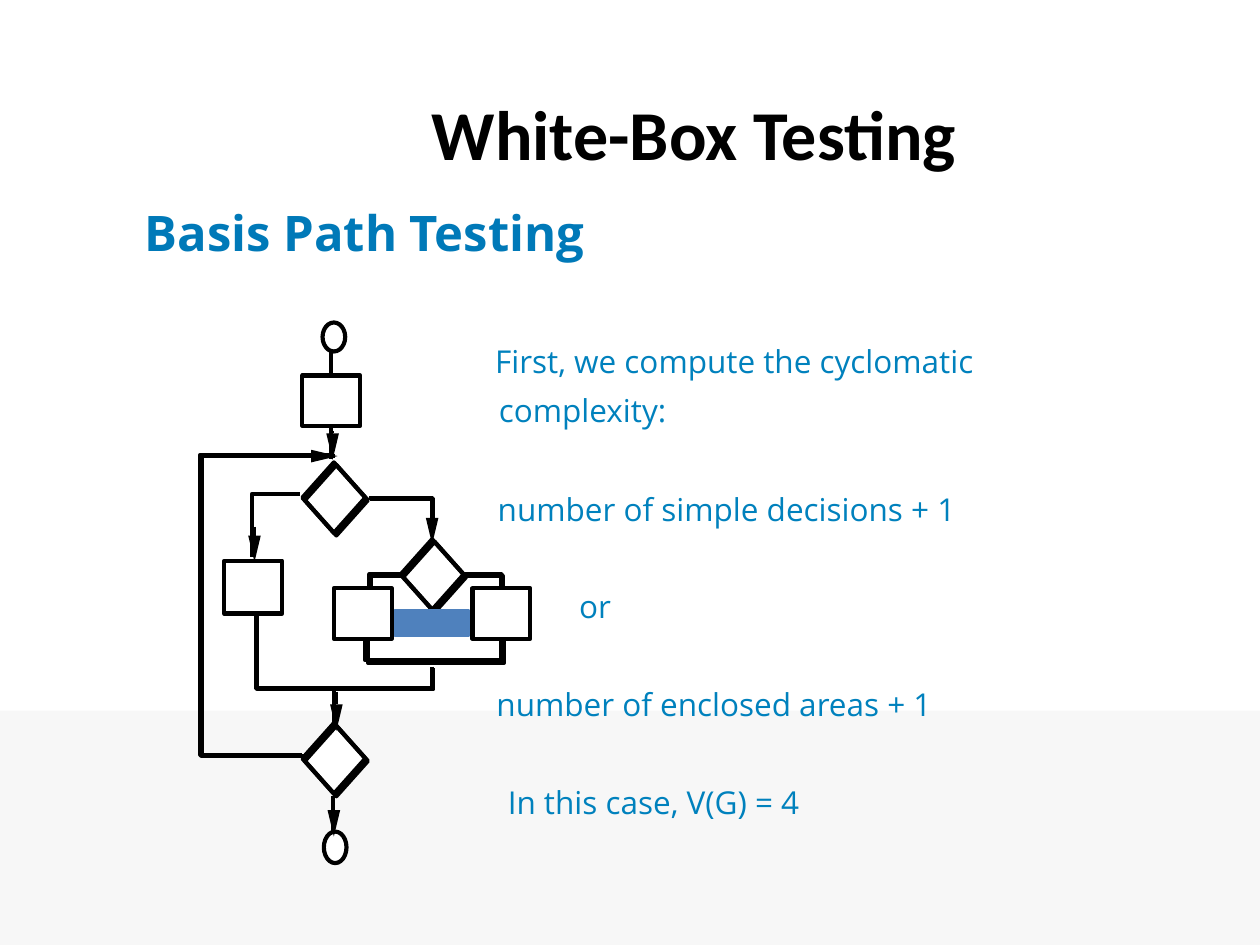
import pptx
import pptx.dml.color
import pptx.enum.shapes
import pptx.enum.text
import pptx.oxml.ns
import pptx.util
from lxml import etree

PX = 9144
THEME = {
    "black": "000000", "white": "FFFFFF", "band": "F7F7F7", "accent": "4F81BD",
    "heading": "0079B8", "body": "0081BD",
    "banner_font": "Calibri", "text_font": "Open Sans",
    "banner_size": 40, "heading_size": 28, "body_size": 18,
    "stroke": 2.38, "stem": 1.39,
}
KIND = pptx.enum.shapes.MSO_SHAPE
ALIGN = pptx.enum.text.PP_ALIGN


def paint(shape, fill=None, line=None, width=THEME["stroke"]):
    if isinstance(shape, pptx.shapes.connector.Connector):
        shape.line.color.rgb = pptx.dml.color.RGBColor.from_string(THEME[line])
        shape.line.width = pptx.util.Pt(width)
        etree.SubElement(shape._element.spPr, pptx.oxml.ns.qn("a:effectLst"))
        return
    shape.shadow.inherit = False
    if fill:
        shape.fill.solid()
        shape.fill.fore_color.rgb = pptx.dml.color.RGBColor.from_string(THEME[fill])
    else:
        shape.fill.background()
    if line:
        shape.line.color.rgb = pptx.dml.color.RGBColor.from_string(THEME[line])
        shape.line.width = pptx.util.Pt(width)
    else:
        shape.line.fill.background()


def write(box, text, margins, font, size, color, bold=False, align=ALIGN.LEFT, spacing=None):
    frame = box.text_frame
    frame.word_wrap = True
    frame.auto_size = pptx.enum.text.MSO_AUTO_SIZE.NONE
    frame.vertical_anchor = pptx.enum.text.MSO_ANCHOR.TOP
    frame.margin_left = frame.margin_right = margins[0] * PX
    frame.margin_top = frame.margin_bottom = margins[1] * PX
    para = frame.paragraphs[0]
    para.text = text
    para.alignment = align
    if spacing:
        para.line_spacing = spacing
    para.font.name = THEME[font]
    para.font.size = pptx.util.Pt(THEME[size])
    para.font.bold = bold
    para.font.color.rgb = pptx.dml.color.RGBColor.from_string(THEME[color])


deck = pptx.Presentation()
deck.slide_width, deck.slide_height = 1000 * PX, 750 * PX
page = deck.slides.add_slide(deck.slide_layouts[5])
shapes = page.shapes

band = shapes.add_shape(KIND.RECTANGLE, 0, 564 * PX, 1000 * PX, 186 * PX)
paint(band, "band")

banner = shapes.add_textbox(333 * PX, 67 * PX, 608 * PX, 77 * PX)
write(banner, "White-Box Testing", (10, 5), "banner_font", "banner_size", "black", bold=True)

heading = shapes.title
heading.left, heading.top, heading.width, heading.height = (v * PX for v in (108, 158, 511, 53))
write(heading, "Basis Path Testing", (7, 3), "text_font", "heading_size", "heading", bold=True)

for left, top in ((318, 428), (240, 367), (240, 574)):
    for shift, fill in ((2, "white"), (0, None)):
        decision = shapes.add_shape(
            KIND.DIAMOND, (left + shift) * PX, (top + shift) * PX, 50 * PX, 56 * PX)
        paint(decision, fill, "black")

for left, top, height in ((256, 256, 23), (257, 660, 25)):
    terminal = shapes.add_shape(KIND.OVAL, left * PX, top * PX, 18 * PX, height * PX)
    paint(terminal, "white", "black")

double_routes = [
    [(293, 395), (343, 395), (343, 414)],
    [(368, 456), (398, 456), (398, 484)],
    [(321, 456), (293, 456), (293, 490)],
    [(240, 599), (159, 599), (159, 361), (265, 361)],
    [(343, 529), (343, 546), (203, 546), (203, 487)],
]
routes = [
    [(238, 392), (200, 392), (200, 442)],
    [(292, 509), (292, 526), (400, 526), (400, 509)],
]
for route in double_routes:
    routes += [[(x + shift, y + shift) for x, y in route] for shift in (1, 0)]
for start, *rest in routes:
    builder = shapes.build_freeform(*start, scale=PX)
    builder.add_line_segments(rest, close=False)
    paint(builder.convert_to_shape(), line="black")

merge = shapes.add_shape(KIND.RECTANGLE, 290 * PX, 495 * PX, 108 * PX, 29 * PX)
paint(merge, line="black")

for x, top, bottom in ((263, 277, 364), (265, 548, 576), (264, 632, 660)):
    link = shapes.add_connector(
        pptx.enum.shapes.MSO_CONNECTOR.STRAIGHT, x * PX, top * PX, x * PX, bottom * PX)
    paint(link, line="black")

for left, top, height in ((240, 298, 40), (265, 467, 40), (375, 467, 40), (178, 445, 42)):
    step = shapes.add_shape(KIND.RECTANGLE, left * PX, top * PX, 46 * PX, height * PX)
    paint(step, "white", "black")

arrows = [
    (268, 362, 1, 0, 22), (343, 432, 0, 1, 31), (202, 446, 0, 1, 28),
    (267, 580, 0, 1, 31), (264, 365, 0, 1, 23), (265, 664, 0, 1, 25),
]
for x, y, dx, dy, length in arrows:
    arrow = shapes.add_group_shape()
    base_x, base_y = x - 21 * dx, y - 21 * dy
    builder = arrow.shapes.build_freeform(x, y, scale=PX)
    builder.add_line_segments(
        [(base_x - 5 * dy, base_y + 5 * dx), (base_x + 5 * dy, base_y - 5 * dx)])
    paint(builder.convert_to_shape(), "black")
    stem = arrow.shapes.add_connector(
        pptx.enum.shapes.MSO_CONNECTOR.STRAIGHT,
        (x - length * dx) * PX, (y - length * dy) * PX, base_x * PX, base_y * PX)
    paint(stem, line="black", width=THEME["stem"])

notes = [
    (393, 275, 386, "First, we compute the cyclomatic", ALIGN.LEFT),
    (396, 314, 140, "complexity:", ALIGN.LEFT),
    (395, 392, 422, "number of simple decisions + 1", ALIGN.LEFT),
    (401, 469, 84, "or", ALIGN.RIGHT),
    (394, 547, 352, "number of enclosed areas + 1", ALIGN.LEFT),
    (403, 625, 238, "In this case, V(G) = 4", ALIGN.LEFT),
]
for left, top, width, text, align in notes:
    note = shapes.add_textbox(left * PX, top * PX, width * PX, 27 * PX)
    write(note, text, (0, 0), "text_font", "body_size", "body", align=align, spacing=0.9)

overlap = shapes.add_shape(KIND.RECTANGLE, 313 * PX, 484 * PX, 59 * PX, 21 * PX)
paint(overlap, "accent", "accent", 1)

deck.save("out.pptx")
